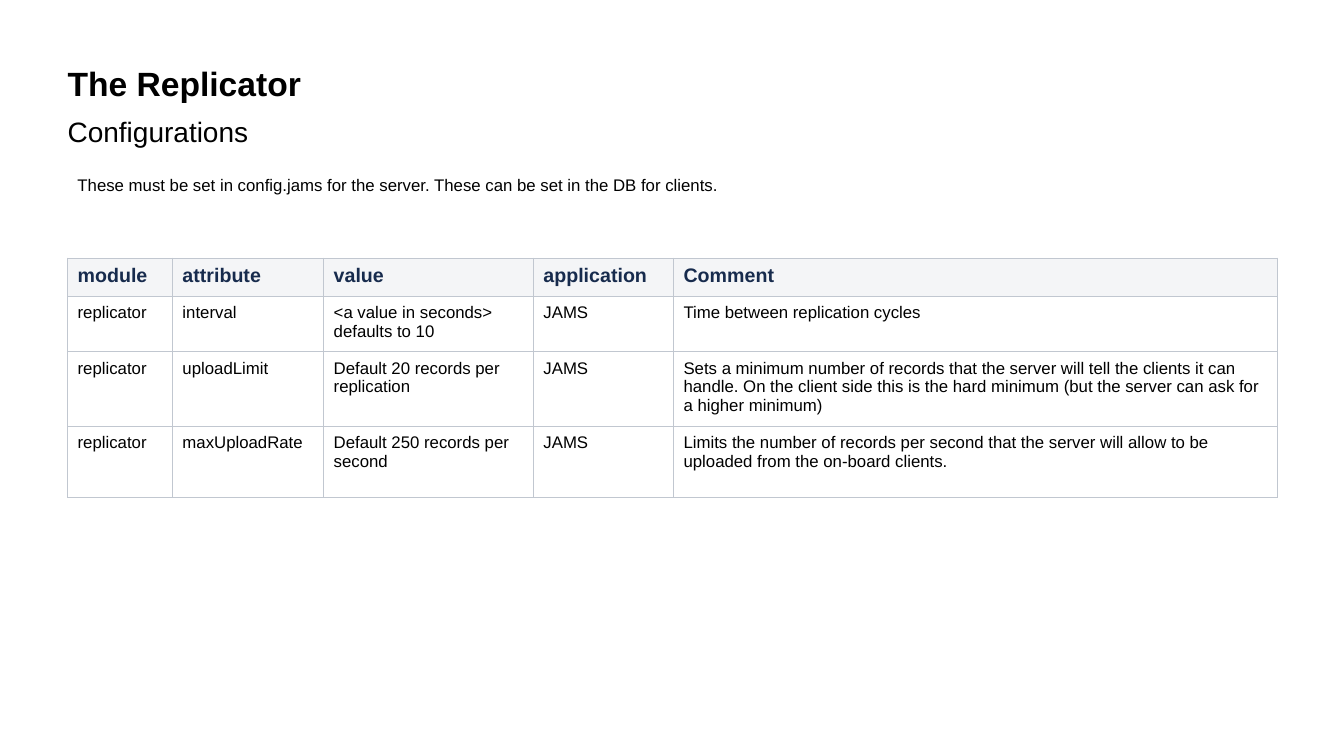
from lxml.etree import SubElement
from pptx import Presentation
from pptx.dml.color import RGBColor
from pptx.oxml.ns import qn
from pptx.util import Inches, Pt

FONT = "Arial"
BLACK = "000000"
NAVY = "172B4D"
HEADER_FILL = "F4F5F7"
BORDER = "C1C7D0"

COLUMN_WIDTHS = [1.04, 1.5, 2.08, 1.39, 5.99]
ROW_HEIGHTS = [0.38, 0.55, 0.74, 0.71]
SETTINGS = [
    ["module", "attribute", "value", "application", "Comment"],
    ["replicator", "interval", "<a value in seconds>\ndefaults to 10", "JAMS",
     "Time between replication cycles"],
    ["replicator", "uploadLimit", "Default 20 records per replication", "JAMS",
     "Sets a minimum number of records that the server will tell the clients "
     "it can handle. On the client side this is the hard minimum (but the "
     "server can ask for a higher minimum)"],
    ["replicator", "maxUploadRate", "Default 250 records per second", "JAMS",
     "Limits the number of records per second that the server will allow to "
     "be uploaded from the on-board clients."],
]


def rgb(value):
    return RGBColor.from_string(value)


def write(paragraph, text, size, color=BLACK, bold=False):
    for index, line in enumerate(text.split("\n")):
        if index:
            paragraph.add_line_break()
        run = paragraph.add_run()
        run.text = line
        run.font.name = FONT
        run.font.size = Pt(size)
        run.font.bold = bold
        run.font.color.rgb = rgb(color)


def add_text(slide, box, text, size, bold=False, inset=(0, 0), spacing=None):
    frame = slide.shapes.add_textbox(*map(Inches, box)).text_frame
    frame.word_wrap = True
    frame.margin_left = frame.margin_right = Inches(inset[0])
    frame.margin_top = frame.margin_bottom = Inches(inset[1])
    paragraph = frame.paragraphs[0]
    paragraph.line_spacing = spacing
    write(paragraph, text, size, bold=bold)


def add_heading(slide, left, top, width):
    add_text(slide, (left, top, width, 0.45), "The Replicator", 24,
             bold=True, spacing=0.9)
    add_text(slide, (left, top + 0.45, width, 0.4), "Configurations", 20,
             inset=(0, 0.05), spacing=0.9)


def add_note(slide, left, top, width):
    add_text(slide, (left, top, width, 0.5),
             "These must be set in config.jams for the server. "
             "These can be set in the DB for clients.", 12, inset=(0.1, 0.05))


def outline(cell):
    properties = cell._tc.get_or_add_tcPr()
    for position, side in enumerate(("lnL", "lnR", "lnT", "lnB")):
        line = SubElement(properties, qn(f"a:{side}"), w=str(Pt(0.75)))
        properties.insert(position, line)
        fill = SubElement(line, qn("a:solidFill"))
        SubElement(fill, qn("a:srgbClr"), val=BORDER)


def fill_cell(cell, text, is_header):
    cell.margin_left = Inches(0.1)
    cell.margin_right = Inches(0.16 if is_header else 0.1)
    cell.margin_top = cell.margin_bottom = Inches(0.07)
    if is_header:
        cell.fill.solid()
        cell.fill.fore_color.rgb = rgb(HEADER_FILL)
        write(cell.text_frame.paragraphs[0], text, 14, NAVY, bold=True)
    else:
        cell.fill.background()
        write(cell.text_frame.paragraphs[0], text, 12)
    outline(cell)


def add_settings(slide, left, top, width):
    box = (left, top, width, sum(ROW_HEIGHTS))
    table = slide.shapes.add_table(
        len(SETTINGS), len(COLUMN_WIDTHS), *map(Inches, box)).table
    table.horz_banding = False
    for column, share in zip(table.columns, COLUMN_WIDTHS):
        column.width = Inches(width * share / sum(COLUMN_WIDTHS))
    for row, height in zip(table.rows, ROW_HEIGHTS):
        row.height = Inches(height)
    for row_index, entries in enumerate(SETTINGS):
        for column_index, entry in enumerate(entries):
            fill_cell(table.cell(row_index, column_index), entry, row_index == 0)


def main():
    deck = Presentation()
    deck.slide_width = Inches(13.33)
    deck.slide_height = Inches(7.5)
    slide = deck.slides.add_slide(deck.slide_layouts[6])
    left, width = 0.67, 12
    add_heading(slide, left, 0.67, width)
    add_note(slide, left, 1.68, width)
    add_settings(slide, left, 2.56, width)
    deck.save("out.pptx")


if __name__ == "__main__":
    main()
